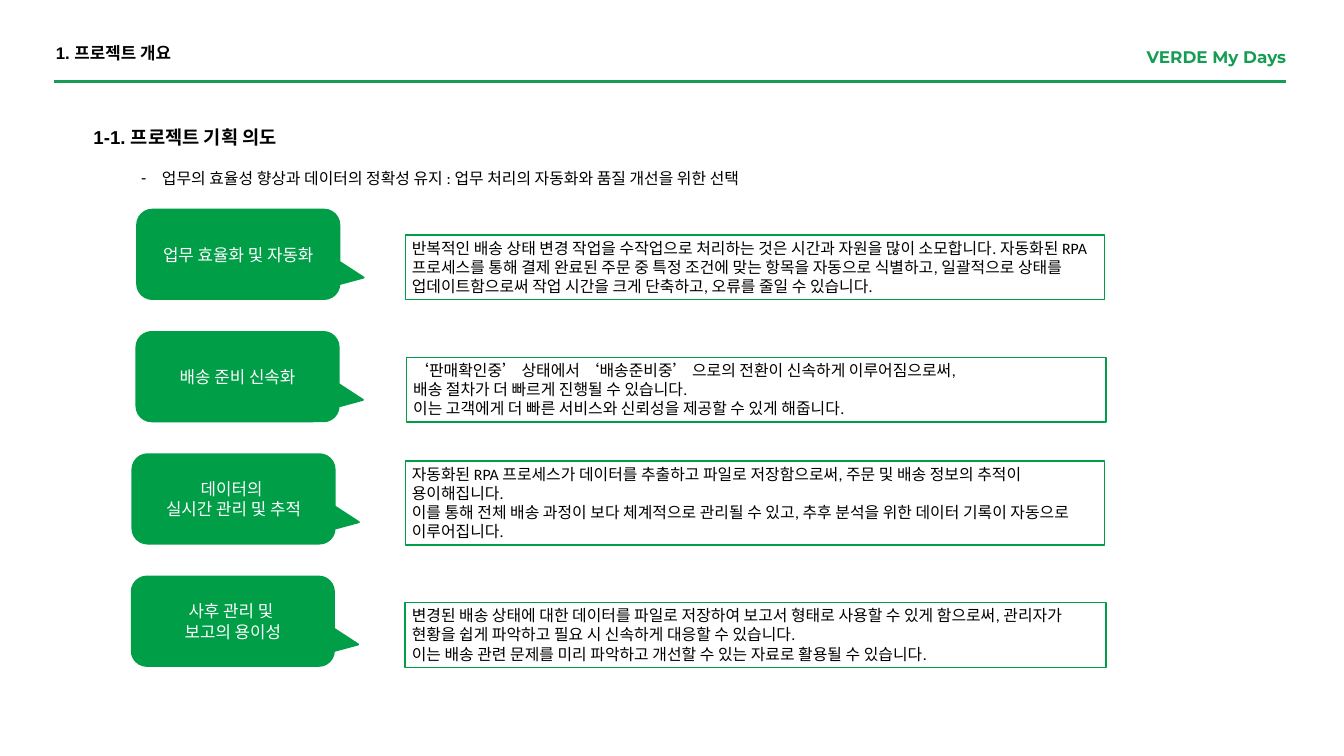
from lxml import etree
from pptx import Presentation
from pptx.dml.color import RGBColor
from pptx.enum.shapes import MSO_CONNECTOR, MSO_SHAPE
from pptx.enum.text import MSO_ANCHOR, MSO_AUTO_SIZE, PP_ALIGN
from pptx.oxml.ns import qn
from pptx.util import Inches, Pt

LEFT, CENTER, RIGHT, JUSTIFY = PP_ALIGN.LEFT, PP_ALIGN.CENTER, PP_ALIGN.RIGHT, PP_ALIGN.JUSTIFY
TOP, MIDDLE = MSO_ANCHOR.TOP, MSO_ANCHOR.MIDDLE
NO_FIT = MSO_AUTO_SIZE.NONE
STRAIGHT = MSO_CONNECTOR.STRAIGHT
CALLOUT, RECTANGLE = MSO_SHAPE.ROUNDED_RECTANGULAR_CALLOUT, MSO_SHAPE.RECTANGLE

COLORS = {"rule": "169D53", "green": "009E47", "black": "000000", "white": "FFFFFF"}
CALLOUT_ADJUSTMENTS = (0.62, 0.26, 0.17)
FIRST_ROW, ROW_STEP = 3.12, 1.82

ROWS = [
    {
        "label": ["업무 효율화 및 자동화"],
        "label_left": 2.04,
        "box": (6.03, 3.5, 10.41, 0.96),
        "detail": [
            "반복적인 배송 상태 변경 작업을 수작업으로 처리하는 것은 시간과 자원을 많이 소모합니다. "
            "자동화된 RPA 프로세스를 통해 결제 완료된 주문 중 특정 조건에 맞는 항목을 자동으로 식별하고, "
            "일괄적으로 상태를 업데이트함으로써 작업 시간을 크게 단축하고, 오류를 줄일 수 있습니다.",
        ],
    },
    {
        "label": ["배송 준비 신속화"],
        "label_left": 2.03,
        "box": (6.05, 5.32, 10.41, 0.96),
        "detail": [
            "‘판매확인중’ 상태에서 ‘배송준비중’ 으로의 전환이 신속하게 이루어짐으로써,",
            "배송 절차가 더 빠르게 진행될 수 있습니다.",
            "이는 고객에게 더 빠른 서비스와 신뢰성을 제공할 수 있게 해줍니다.",
        ],
    },
    {
        "label": ["데이터의 ", "실시간 관리 및 추적"],
        "label_left": 1.97,
        "box": (6.03, 6.86, 10.41, 1.25),
        "detail": [
            "자동화된 RPA 프로세스가 데이터를 추출하고 파일로 저장함으로써, "
            "주문 및 배송 정보의 추적이 용이해집니다.",
            "이를 통해 전체 배송 과정이 보다 체계적으로 관리될 수 있고, "
            "추후 분석을 위한 데이터 기록이 자동으로 이루어집니다.",
        ],
    },
    {
        "label": ["사후 관리 및 ", "보고의 용이성"],
        "label_left": 1.96,
        "box": (6.03, 8.97, 10.43, 0.96),
        "detail": [
            "변경된 배송 상태에 대한 데이터를 파일로 저장하여 보고서 형태로 사용할 수 있게 함으로써, "
            "관리자가 현황을 쉽게 파악하고 필요 시 신속하게 대응할 수 있습니다.",
            "이는 배송 관련 문제를 미리 파악하고 개선할 수 있는 자료로 활용될 수 있습니다.",
        ],
    },
]


class PageBuilder:
    heading = {"name": "Arial", "size": Pt(18), "bold": True}
    subheading = {"name": "Arial", "size": Pt(20), "bold": True}
    brand = {"name": "Montserrat", "size": Pt(18), "bold": True}
    body = {"name": "Calibri", "size": Pt(17), "bold": False}
    label = {"name": "Calibri", "size": Pt(18), "bold": False}
    no_insets = dict.fromkeys(("margin_left", "margin_top", "margin_right", "margin_bottom"), 0)

    def __init__(self, page):
        self.page = page

    def apply(self, target, values):
        for name, value in values.items():
            setattr(target, name, value)

    def place(self, shape, area):
        names = ("left", "top", "width", "height")
        self.apply(shape, dict(zip(names, map(Inches, area))))

    def fill_text(self, shape, lines, font, color, align=LEFT, anchor=TOP, spacing=None, frame_format=None):
        frame = shape.text_frame
        frame_values = {"word_wrap": True, "auto_size": NO_FIT, "vertical_anchor": anchor}
        self.apply(frame, {**frame_values, **(frame_format or {})})
        for index, line in enumerate(lines):
            para = frame.add_paragraph() if index else frame.paragraphs[0]
            self.apply(para, {"alignment": align, "space_before": Pt(0), "line_spacing": spacing})
            span = para.add_run()
            span.text = line
            self.apply(span.font, font)
            span.font.color.rgb = RGBColor.from_string(COLORS[color])

    def title(self, text, area):
        shape = self.page.shapes.title
        self.place(shape, area)
        self.fill_text(shape, [text], self.heading, "black", JUSTIFY, spacing=Pt(25.2),
                       frame_format=self.no_insets)

    def bullets(self, lines, area):
        shape = self.page.placeholders[1]
        self.place(shape, area)
        self.fill_text(shape, lines, self.body, "black")
        for para in shape.text_frame.paragraphs:
            properties = para._p.get_or_add_pPr()
            properties.set("marL", str(Inches(0.31)))
            properties.set("indent", str(Inches(-0.31)))
            etree.SubElement(properties, qn("a:buChar")).set("char", "-")

    def text(self, text, area, font, color, align, spacing):
        box = self.page.shapes.add_textbox(*map(Inches, area))
        self.fill_text(box, [text], font, color, align, spacing=spacing, frame_format=self.no_insets)

    def rule(self, left, right, top):
        line = self.page.shapes.add_connector(STRAIGHT, *map(Inches, (left, top, right, top)))
        line.line.color.rgb = RGBColor.from_string(COLORS["rule"])
        line.line.width = Pt(3)
        etree.SubElement(line._element.spPr, qn("a:effectLst"))

    def outlined(self, kind, area, width):
        shape = self.page.shapes.add_shape(kind, *map(Inches, area))
        shape.shadow.inherit = False
        shape.line.color.rgb = RGBColor.from_string(COLORS["green"])
        shape.line.width = Pt(width)
        return shape

    def callout(self, lines, area):
        shape = self.outlined(CALLOUT, area, 2)
        for index, value in enumerate(CALLOUT_ADJUSTMENTS):
            shape.adjustments[index] = value
        shape.fill.solid()
        shape.fill.fore_color.rgb = RGBColor.from_string(COLORS["green"])
        self.fill_text(shape, lines, self.label, "white", CENTER, MIDDLE)

    def detail(self, lines, area):
        shape = self.outlined(RECTANGLE, area, 1.5)
        shape.fill.background()
        self.fill_text(shape, lines, self.body, "black")


def main():
    deck = Presentation()
    deck.slide_width, deck.slide_height = Inches(20), Inches(11.25)
    builder = PageBuilder(deck.slides.add_slide(deck.slide_layouts[1]))

    builder.rule(0.81, 19.14, 1.21)
    builder.text("VERDE My Days", (16.8, 0.65, 2.34, 0.33), builder.brand, "rule", RIGHT, Pt(25.2))
    builder.title("1. 프로젝트 개요", (0.83, 0.59, 4.17, 0.35))
    builder.text("1-1. 프로젝트 기획 의도", (1.39, 1.81, 7.18, 0.39), builder.subheading, "black", LEFT, Pt(28))
    builder.bullets(
        ["업무의 효율성 향상과 데이터의 정확성 유지 : 업무 처리의 자동화와 품질 개선을 위한 선택"],
        (2, 2.46, 14.47, 0.69),
    )
    for index, row in enumerate(ROWS):
        builder.callout(row["label"], (row["label_left"], FIRST_ROW + index * ROW_STEP, 3.01, 1.33))
        builder.detail(row["detail"], row["box"])

    deck.save("out.pptx")


if __name__ == "__main__":
    main()
